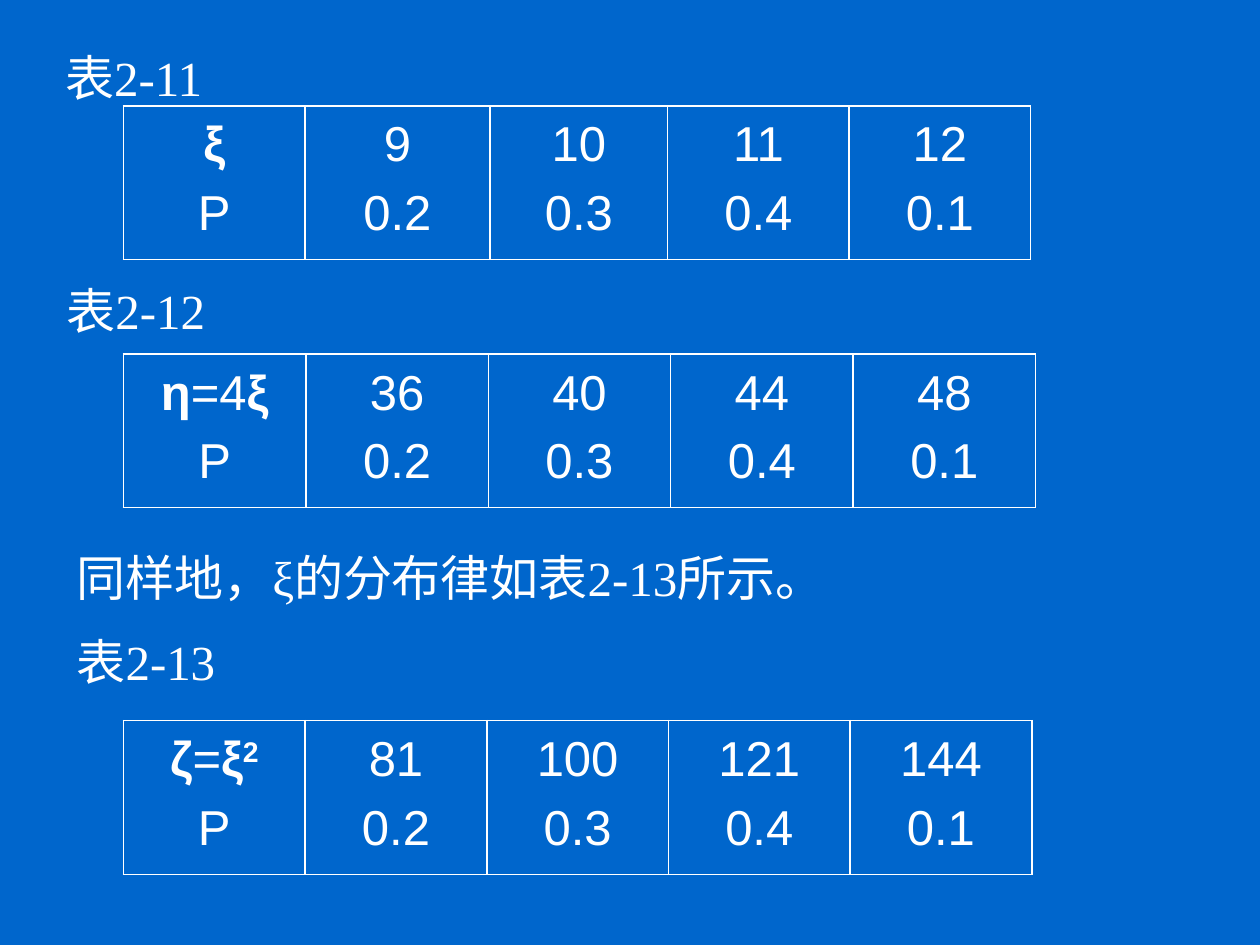
from dataclasses import dataclass

from lxml import etree
from pptx import Presentation
from pptx.dml.color import RGBColor
from pptx.enum.text import MSO_AUTO_SIZE, PP_ALIGN
from pptx.oxml.ns import qn
from pptx.util import Inches, Pt

CENTER = PP_ALIGN.CENTER
GROW = MSO_AUTO_SIZE.SHAPE_TO_FIT_TEXT
BLANK = 6
UNIT = 0.1
LEFT, TALL = 9.8, 12.2
PLAIN, BOLD, SUPER = "plain", "bold", "super"
ODDS = ["0.2", "0.3", "0.4", "0.1"]

TEXTS = [
    (4.2, 3.3, 14.3, 5.7, ["表2-11"]),
    (4.3, 21.8, 14.3, 5.7, ["表2-12"]),
    (5.1, 43, 85.8, 12.7, ["同样地，ξ的分布律如表2-13所示。", "表2-13"]),
]

TABLES = [
    (8.4, [14.4, 14.7, 14.1, 14.4, 14.4], [("ξ", BOLD)],
     ["9", "10", "11", "12"]),
    (28.1, [14.48] * 5, [("η", BOLD), ("=4", PLAIN), ("ξ", BOLD)],
     ["36", "40", "44", "48"]),
    (57.2, [14.42] * 5,
     [("ζ", BOLD), ("=", PLAIN), ("ξ", BOLD), ("2", SUPER)],
     ["81", "100", "121", "144"]),
]


@dataclass(frozen=True)
class Theme:
    """Colours, fonts and sizes of the slide."""
    back: str = "0066CC"
    ink: str = "FFFFFF"
    serif: str = "Times New Roman"
    sans: str = "Arial"
    size: int = 28
    gap: int = 14
    tight: int = 5
    lead: float = 1.1
    rule: float = 1


THEME = Theme()


def grid(count):
    """Turn grid units into a length."""
    return Inches(count * UNIT)


def style(run, face, kind=PLAIN):
    """Format one run."""
    font = run.font
    font.name, font.size = face, Pt(THEME.size)
    font.color.rgb = RGBColor.from_string(THEME.ink)
    font.bold = kind != PLAIN
    if kind == SUPER:
        run._r.get_or_add_rPr().set("baseline", "30000")


def add_text(slide, left, top, width, height, lines):
    """Add a text box with one paragraph a line."""
    box = slide.shapes.add_textbox(*map(grid, (left, top, width, height)))
    frame = box.text_frame
    frame.word_wrap, frame.auto_size = True, GROW
    frame.text = "\n".join(lines)
    for index, para in enumerate(frame.paragraphs):
        if index:
            para.space_before = Pt(THEME.gap)
        style(para.runs[0], THEME.serif)


def add_edges(cell):
    """Draw a thin line on each side of a cell."""
    props = cell._tc.get_or_add_tcPr()
    for index, side in enumerate(("lnL", "lnR", "lnT", "lnB")):
        line = etree.Element(qn(f"a:{side}"), w=str(Pt(THEME.rule)))
        fill = etree.SubElement(line, qn("a:solidFill"))
        etree.SubElement(fill, qn("a:srgbClr"), val=THEME.ink)
        props.insert(index, line)


def fill_cell(cell, head, odds):
    """Set a value above its probability."""
    cell.fill.background()
    add_edges(cell)
    frame = cell.text_frame
    lower = frame.add_paragraph()
    lower.space_before = Pt(THEME.tight)
    for para, parts in zip(frame.paragraphs, (head, [(odds, PLAIN)])):
        para.alignment, para.line_spacing = CENTER, THEME.lead
        for text, kind in parts:
            run = para.add_run()
            run.text = text
            style(run, THEME.sans, kind)


def add_law(slide, top, widths, head, values):
    """Add the table of one distribution law."""
    area = map(grid, (LEFT, top, sum(widths), TALL))
    table = slide.shapes.add_table(1, len(widths), *area).table
    table.first_row = table.horz_banding = False
    for column, width in zip(table.columns, widths):
        column.width = grid(width)
    heads = [head] + [[(value, PLAIN)] for value in values]
    for cell, parts, odds in zip(table.rows[0].cells, heads, ["P"] + ODDS):
        fill_cell(cell, parts, odds)


def main():
    """Build and save the slide."""
    deck = Presentation()
    deck.slide_width, deck.slide_height = grid(100), grid(75)
    slide = deck.slides.add_slide(deck.slide_layouts[BLANK])
    fill = slide.background.fill
    fill.solid()
    fill.fore_color.rgb = RGBColor.from_string(THEME.back)
    for item in TEXTS:
        add_text(slide, *item)
    for item in TABLES:
        add_law(slide, *item)
    deck.save("out.pptx")


if __name__ == "__main__":
    main()
